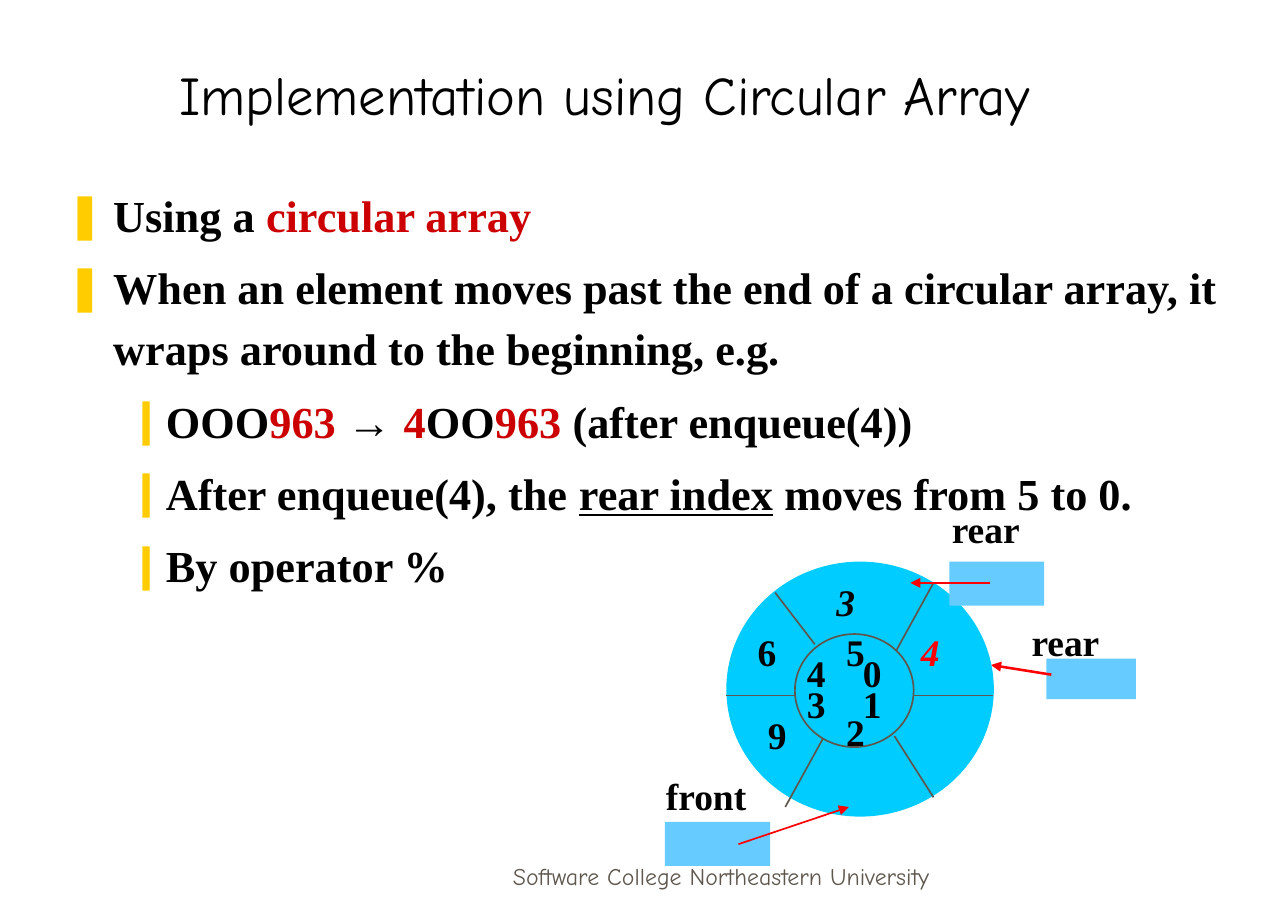
import lxml.etree
import pptx
import pptx.dml.color
import pptx.enum.shapes
import pptx.enum.text
import pptx.oxml.ns
import pptx.util

Cm, Pt = pptx.util.Cm, pptx.util.Pt
SHAPE = pptx.enum.shapes.MSO_SHAPE
ALIGN = pptx.enum.text.PP_ALIGN
ANCHOR = pptx.enum.text.MSO_ANCHOR
FIT = pptx.enum.text.MSO_AUTO_SIZE

BLACK, RED, GREY = "000000", "FF0000", "5E574E"
DARK, GOLD, SKY, CYAN = "CC0000", "FFCC00", "66CCFF", "00CCFF"
HEAD = {"name": "Comic Neue", "size": Pt(32), "bold": False}
FOOT = {"name": "Comic Neue", "size": Pt(14), "bold": False}
BODY = {"name": "Times New Roman", "size": Pt(26), "bold": True}
TAG = {"name": "Times New Roman", "size": Pt(22), "bold": True}


def tint(code):
    return pptx.dml.color.RGBColor.from_string(code)


def put(item, values):
    for key, value in values.items():
        setattr(item, key, value)


def node(parent, tag, **attrs):
    return lxml.etree.SubElement(parent, pptx.oxml.ns.qn(tag), attrs)


class Deck:
    """Keeps the presentation and the slide being filled."""

    def __init__(self):
        self.prs = pptx.Presentation()
        put(self.prs, {"slide_width": Cm(26.67), "slide_height": Cm(19.05)})
        self.slide = self.prs.slides.add_slide(self.prs.slide_layouts[1])
        self.shapes = self.slide.shapes

    def place(self, shape, left, top, width, height):
        put(shape, {"left": Cm(left), "top": Cm(top),
                    "width": Cm(width), "height": Cm(height)})

    def add_text(self, para, text, font, code=BLACK, **extra):
        run = para.add_run()
        run.text = text
        put(run.font, {**font, **extra})
        run.font.color.rgb = tint(code)

    def title(self, text, *area):
        shape = self.shapes.title
        self.place(shape, *area)
        put(shape.text_frame, {"vertical_anchor": ANCHOR.BOTTOM,
                               "auto_size": FIT.NONE})
        para = shape.text_frame.paragraphs[0]
        para.alignment = ALIGN.CENTER
        self.add_text(para, text, HEAD)

    def bullets(self, items, *area):
        """Fill the body with (level, runs) items."""
        shape = self.slide.placeholders[1]
        self.place(shape, *area)
        frame = shape.text_frame
        frame.auto_size = FIT.NONE
        marks = [("❚", 0.97, -0.97), ("❙", 2.06, -0.79)]
        for i, (level, runs) in enumerate(items):
            para = frame.add_paragraph() if i else frame.paragraphs[0]
            sign, left, hang = marks[level]
            props = para._p.get_or_add_pPr()
            props.set("marL", str(Cm(left)))
            props.set("indent", str(Cm(hang)))
            node(node(props, "a:buClr"), "a:srgbClr", val=GOLD)
            node(props, "a:buChar", char=sign)
            put(para, {"level": level, "line_spacing": 1.15,
                       "space_before": Pt(6.5 if i else 0)})
            for text, code, extra in runs:
                self.add_text(para, text, BODY, code, **extra)

    def label(self, text, left, top, width=3, height=1.19, font=TAG,
              code=BLACK, align=ALIGN.LEFT, anchor=ANCHOR.TOP, **extra):
        box = self.shapes.add_textbox(0, 0, 0, 0)
        self.place(box, left, top, width, height)
        put(box.text_frame, {"word_wrap": True, "vertical_anchor": anchor})
        para = box.text_frame.paragraphs[0]
        para.alignment = align
        self.add_text(para, text, font, code, **extra)

    def shape(self, kind, code, *area, edge=None):
        shape = self.shapes.add_shape(kind, 0, 0, 0, 0)
        self.place(shape, *area)
        shape.shadow.inherit = False
        shape.fill.solid()
        shape.fill.fore_color.rgb = tint(code)
        if edge:
            shape.line.color.rgb = tint(edge)
            shape.line.width = Pt(1)
        else:
            shape.line.fill.background()

    def line(self, ends, code=GREY, width=1, arrow=False):
        kind = pptx.enum.shapes.MSO_CONNECTOR.STRAIGHT
        link = self.shapes.add_connector(kind, *map(Cm, ends))
        link.line.color.rgb = tint(code)
        link.line.width = Pt(width)
        if arrow:
            node(link.line._get_or_add_ln(), "a:tailEnd", type="triangle")
        node(link._element.spPr, "a:effectLst")


def main():
    deck = Deck()
    deck.label("Software College Northeastern University", 9.12, 17.3,
               11.63, 1.27, FOOT, GREY, ALIGN.CENTER, ANCHOR.BOTTOM)
    deck.title("Implementation using Circular Array", 1.19, 0.64, 22.68, 2.11)
    deck.bullets([
        (0, [("Using a ", BLACK, {}), ("circular array", DARK, {})]),
        (0, [("When an element moves past the end of a circular array, "
              "it wraps around to the beginning, e.g.", BLACK, {})]),
        (1, [("OOO", BLACK, {}), ("963 ", DARK, {}),
             ("→ ", BLACK, {"name": "Arial"}), ("4", DARK, {}),
             ("OO", BLACK, {}), ("963", DARK, {}),
             (" (after enqueue(4))", BLACK, {})]),
        (1, [("After enqueue(4), the ", BLACK, {}),
             ("rear index", BLACK, {"underline": True}),
             (" moves from 5 to 0.", BLACK, {})]),
        (1, [("By operator %", BLACK, {})]),
    ], 1.12, 3.61, 25.55, 12.5)

    # New rear
    deck.shape(SHAPE.RECTANGLE, SKY, 21.67, 13.64, 1.85, 0.84)
    deck.label("rear", 21.11, 12.7)
    deck.line((21.77, 13.97, 20.52, 13.77), RED, 1.5, True)

    # Ring with its six cells
    deck.shape(SHAPE.OVAL, CYAN, 15.04, 11.63, 5.54, 5.28)
    for spoke in [(16.46, 14.4, 15.04, 14.4), (16.05, 12.27, 16.87, 13.34),
                  (19.33, 12.07, 18.52, 13.54), (18.52, 15.24, 19.33, 16.51),
                  (17.07, 15.24, 16.26, 16.71), (18.92, 14.4, 20.57, 14.4)]:
        deck.line(spoke)
    deck.shape(SHAPE.OVAL, CYAN, 16.46, 13.13, 2.46, 2.34, edge=GREY)
    deck.label("3", 17.07, 11.86, 1.5, italic=True)
    for digit, left, top in [("9", 15.65, 14.61), ("6", 15.44, 12.9),
                             ("3", 16.46, 13.97), ("1", 17.62, 13.97),
                             ("2", 17.27, 14.55), ("4", 16.46, 13.34),
                             ("0", 17.62, 13.34), ("5", 17.27, 12.9)]:
        deck.label(digit, left, top, 1.5)

    # Front
    deck.shape(SHAPE.RECTANGLE, SKY, 13.77, 17.02, 2.18, 0.91)
    deck.line((15.29, 17.48, 17.58, 16.71), RED, arrow=True)
    deck.label("front", 13.54, 15.88)
    deck.label("4", 18.82, 12.9, 1.5, code=RED, italic=True)

    # Old rear
    deck.shape(SHAPE.RECTANGLE, SKY, 19.66, 11.63, 1.96, 0.91)
    deck.line((20.5, 12.07, 18.85, 12.07), RED, arrow=True)
    deck.label("rear", 19.46, 10.36)
    deck.prs.save("out.pptx")


if __name__ == "__main__":
    main()
